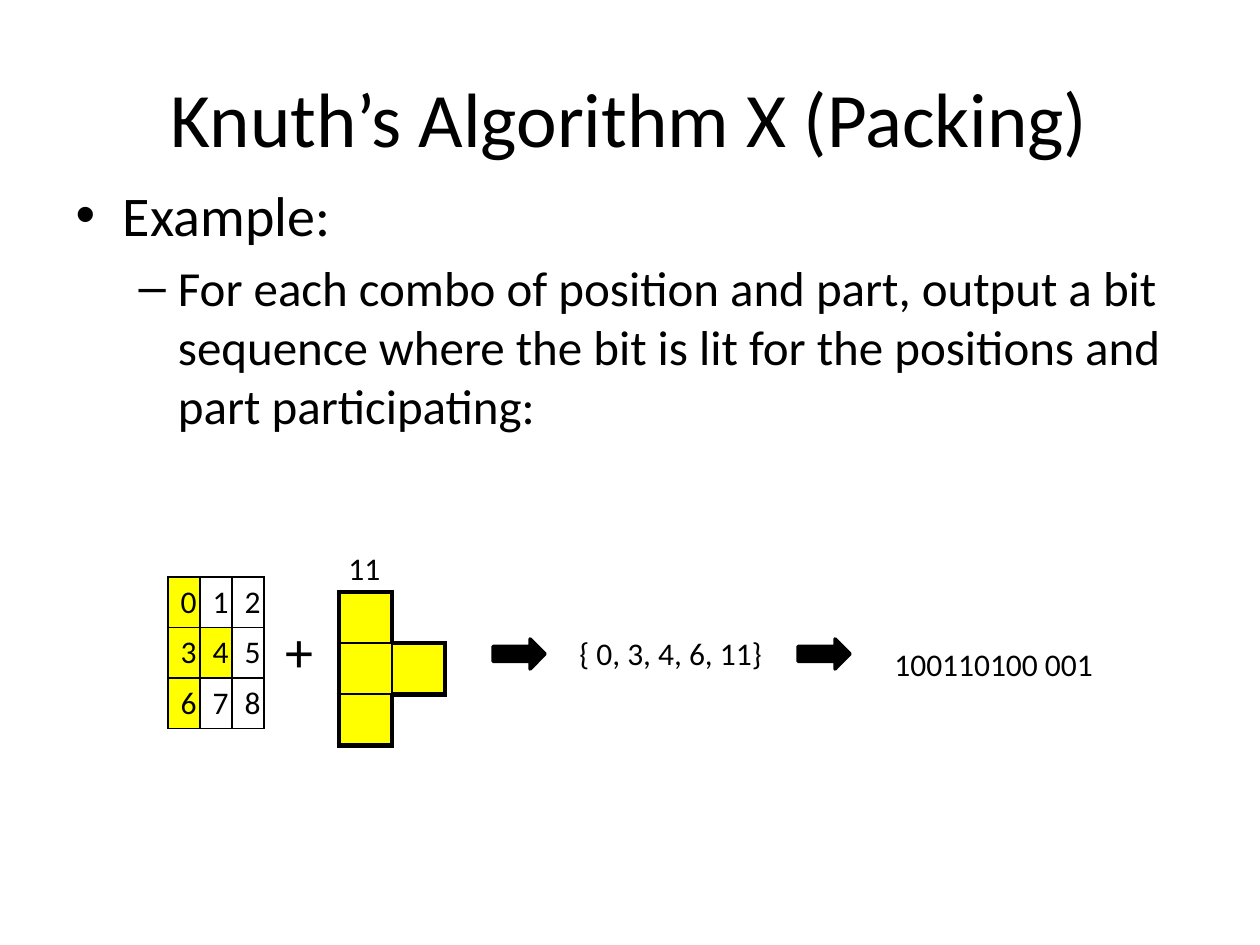
from pptx import Presentation
from pptx.dml.color import RGBColor
from pptx.enum.shapes import MSO_SHAPE
from pptx.enum.text import MSO_ANCHOR, PP_ALIGN
from pptx.oxml.ns import qn
from pptx.util import Pt
from lxml.etree import SubElement

EMU_PER_PX = 914400 / 126
FONT = "Calibri"
BLACK, YELLOW = "000000", "FFFF00"
SIDES = "LRTB"


def px(length):
    """Turn whole pixels into EMU."""
    return round(length * EMU_PER_PX)


def color(hex_code):
    """Turn a hex string into a colour."""
    return RGBColor.from_string(hex_code)


def place(shape, *box):
    """Move a shape to left, top, width, height in pixels."""
    shape.left, shape.top, shape.width, shape.height = map(px, box)


def write(paragraph, text, size):
    """Add one formatted run to a paragraph."""
    run = paragraph.add_run()
    run.text = text
    run.font.name = FONT
    run.font.size = Pt(size)
    run.font.color.rgb = color(BLACK)


def add_label(slide, text, size, *box):
    """Add a text box with one line of text."""
    label = slide.shapes.add_textbox(*map(px, box))
    label.text_frame.word_wrap = True
    write(label.text_frame.paragraphs[0], text, size)


def add_arrow(slide, left):
    """Add a black arrow pointing right."""
    arrow = slide.shapes.add_shape(
        MSO_SHAPE.UP_ARROW, px(left), px(628), px(30), px(52))
    arrow.rotation = 90
    arrow.shadow.inherit = False
    arrow.fill.solid()
    arrow.fill.fore_color.rgb = color(BLACK)
    arrow.line.color.rgb = color(BLACK)
    arrow.line.width = Pt(2)


def set_borders(cell, widths):
    """Draw cell borders from point widths in SIDES order; 0 hides one."""
    properties = cell._tc.get_or_add_tcPr()
    for side, width in zip(SIDES, widths):
        border = SubElement(properties, qn(f"a:ln{side}"), w=str(Pt(width)))
        if width:
            fill = SubElement(border, qn("a:solidFill"))
            SubElement(fill, qn("a:srgbClr"), val=BLACK)
        else:
            SubElement(border, qn("a:noFill"))


def add_grid(slide, left, top, column_width, row_height, borders, lit, numbered):
    """Add a table whose lit cells are yellow, optionally numbered from 0."""
    rows, columns = len(borders), len(borders[0])
    grid = slide.shapes.add_table(
        rows, columns, px(left), px(top),
        px(column_width * columns), px(row_height * rows)).table
    grid.first_row = grid.horz_banding = False
    for column in grid.columns:
        column.width = px(column_width)
    for position, cell in enumerate(grid.iter_cells()):
        row, column = divmod(position, columns)
        set_borders(cell, borders[row][column])
        if position in lit:
            cell.fill.solid()
            cell.fill.fore_color.rgb = color(YELLOW)
        else:
            cell.fill.background()
        if numbered:
            cell.margin_right = 0
            write(cell.text_frame.paragraphs[0], str(position), 18)


def add_heading(slide, text):
    """Fill the title placeholder."""
    title = slide.shapes.title
    place(title, 63, 38, 1134, 158)
    title.text_frame.vertical_anchor = MSO_ANCHOR.MIDDLE
    heading = title.text_frame.paragraphs[0]
    heading.alignment = PP_ALIGN.CENTER
    write(heading, text, 44)


def add_outline(slide, items):
    """Fill the body placeholder with (level, size, text) items."""
    body = slide.placeholders[1]
    place(body, 63, 174, 1134, 697)
    frame = body.text_frame
    for index, (level, size, text) in enumerate(items):
        item = frame.add_paragraph() if index else frame.paragraphs[0]
        item.level = level
        if not index:
            item.space_before = Pt(0)
        write(item, text, size)


def main():
    """Build the slide and save it."""
    deck = Presentation()
    deck.slide_width, deck.slide_height = px(1260), px(945)
    slide = deck.slides.add_slide(deck.slide_layouts[1])
    add_heading(slide, "Knuth’s Algorithm X (Packing)")
    add_outline(slide, [
        (0, 32, "Example:"),
        (1, 28, "For each combo of position and part, output a bit sequence "
                "where the bit is lit for the positions and part participating:"),
    ])
    part_borders = [
        [(3, 3, 3, 1), (3, 0, 0, 3)],
        [(3, 1, 1, 1), (1, 3, 3, 3)],
        [(3, 3, 1, 3), (3, 0, 3, 0)],
    ]
    add_grid(slide, 339, 592, 53, 51, part_borders, {0, 2, 3, 4}, False)
    add_label(slide, "11", 18, 336, 543, 136, 53)
    board_borders = [[(1, 1, 1, 1)] * 3] * 3
    add_grid(slide, 168, 577, 32, 50, board_borders, {0, 3, 4, 6}, True)
    add_label(slide, "+", 32, 273, 610, 32, 81)
    add_arrow(slide, 504)
    add_label(slide, "{ 0, 3, 4, 6, 11}", 18, 567, 628, 210, 50)
    add_arrow(slide, 809)
    add_label(slide, "100110100 001", 18, 882, 639, 273, 50)
    deck.save("out.pptx")


if __name__ == "__main__":
    main()
